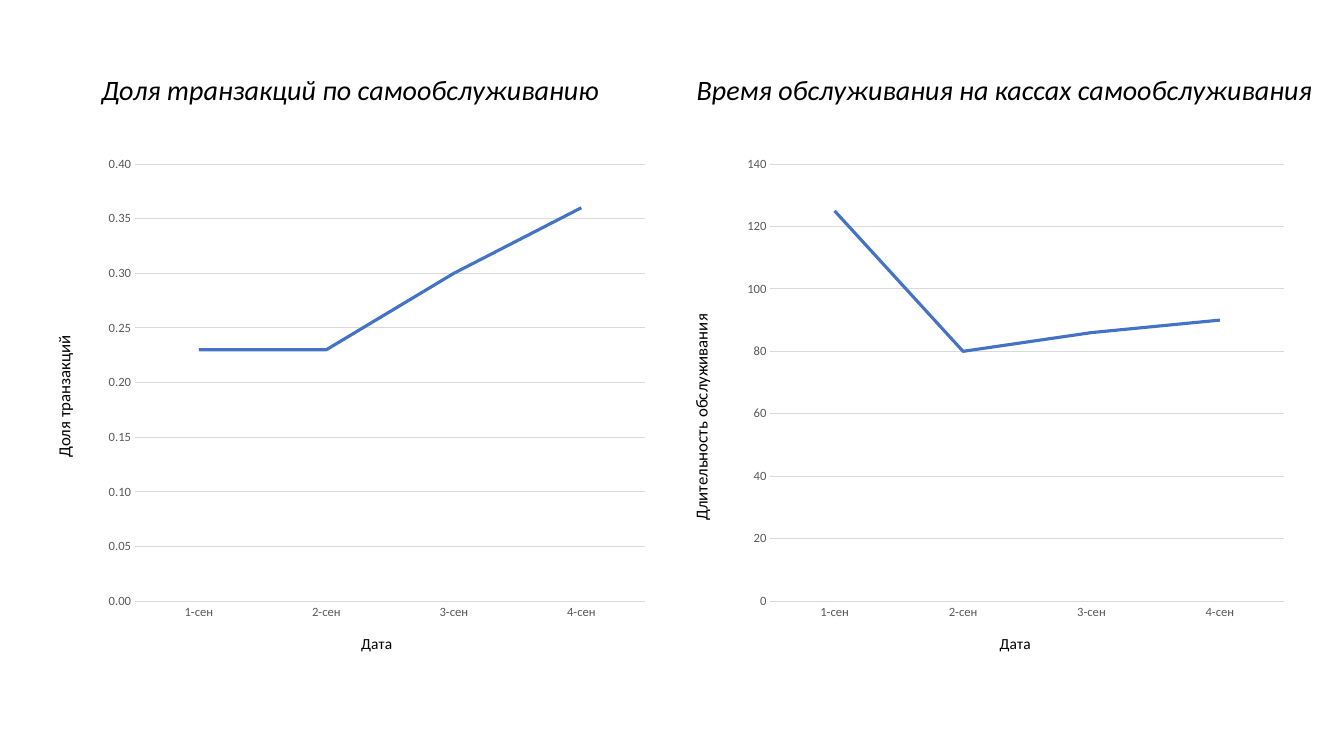
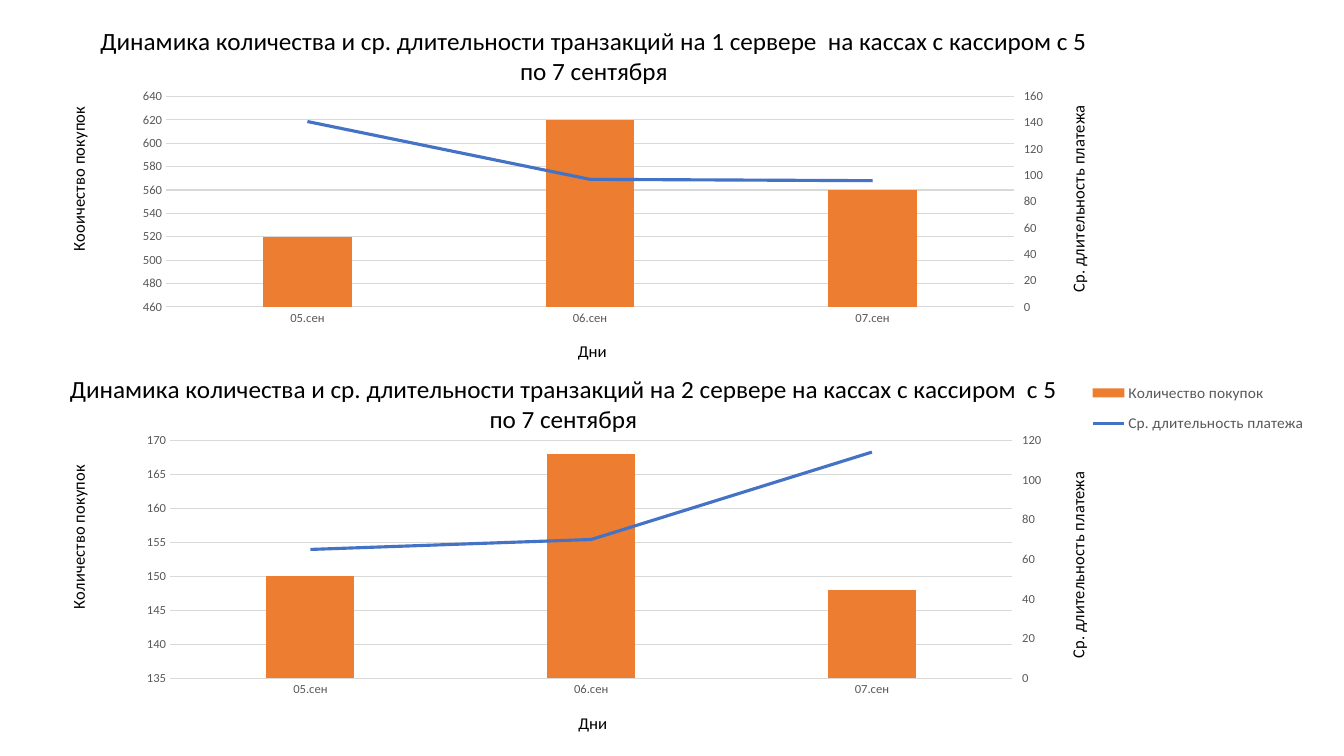
import copy

import pptx
import pptx.chart.axis
import pptx.chart.data
import pptx.dml.color
import pptx.enum.chart
import pptx.enum.text
import pptx.oxml
import pptx.oxml.ns
import pptx.util

enum = pptx.enum.chart
qn = pptx.oxml.ns.qn

# Shared look
FONT = "Calibri"
COLORS = {"text": "000000", "label": "595959", "grid": "D9D9D9",
          "line": "4472C4", "bar": "ED7D31"}
WIDTH, HEIGHT = 13.33, 7.5

# All places are percentages: of the slide for objects, of the chart for its parts
COL, ROW = WIDTH / 100, HEIGHT / 100


def place(left, top, width, height):
    return [pptx.util.Inches(n) for n in
            (left * COL, top * ROW, width * COL, height * ROW)]


def rgb(name):
    return pptx.dml.color.RGBColor.from_string(COLORS[name])


def set_values(obj, values):
    for name, value in values.items():
        setattr(obj, name, value)


def set_font(font, size, color="text", italic=False):
    set_values(font, {"name": FONT, "size": pptx.util.Pt(size),
                      "bold": False, "italic": italic})
    font.color.rgb = rgb(color)


def set_line(line, color, width):
    line.color.rgb = rgb(color)
    line.width = pptx.util.Pt(width)


# XML helpers
def chart_xml(tag, content):
    ns = pptx.oxml.ns.nsdecls("c")
    return pptx.oxml.parse_xml(f"<c:{tag} {ns}>{content}</c:{tag}>")


def set_layout(el, index, target="", **shares):
    """Fix the place of a chart part; shares are percentages of the chart."""
    for old in el.findall(qn("c:layout")):
        el.remove(old)
    parts = f'<c:layoutTarget val="{target}"/>' if target else ""
    parts += "".join(f'<c:{k}Mode val="edge"/>' for k in shares if k in "xy")
    parts += "".join(f'<c:{k} val="{v / 100:.4f}"/>' for k, v in shares.items())
    el.insert(index, chart_xml("layout", f"<c:manualLayout>{parts}</c:manualLayout>"))


# Chart parts
def set_title(title, text, size, x, y, upright=False):
    tf = title.text_frame
    tf.text = text
    set_font(tf.paragraphs[0].runs[0].font, size)
    el = title._element
    if upright:
        body = next(el.iter(qn("a:bodyPr")))
        body.set("rot", "-5400000")
        body.set("vert", "horz")
    set_layout(el, 1, x=x, y=y)


def format_axis(axis, title, size, spot, upright=False):
    set_values(axis, {"major_tick_mark": enum.XL_TICK_MARK.NONE,
                      "minor_tick_mark": enum.XL_TICK_MARK.NONE})
    set_font(axis.tick_labels.font, 9, "label")
    set_title(axis.axis_title, title, size, *spot, upright=upright)


def format_category_axis(axis, title, size, spot):
    format_axis(axis, title, size, spot)
    axis.has_major_gridlines = False
    set_line(axis.format.line, "grid", 0.75)


def format_value_axis(axis, title, spot, scale, fmt="General", grid=True):
    format_axis(axis, title, 12, spot, upright=True)
    low, high, step = scale
    set_values(axis, {"minimum_scale": low, "maximum_scale": high,
                      "major_unit": step, "has_major_gridlines": grid})
    set_values(axis.tick_labels, {"number_format": fmt,
                                  "number_format_is_linked": False})
    axis.format.line.fill.background()
    if grid:
        set_line(axis.major_gridlines.format.line, "grid", 0.75)


def format_line_series(series):
    series.smooth = False
    series.marker.style = enum.XL_MARKER_STYLE.NONE
    set_line(series.format.line, "line", 2.25)


def add_chart(slide, kind, box, cats, series, plot):
    data = pptx.chart.data.CategoryChartData()
    data.categories = cats
    for name, values in series:
        data.add_series(name, values)
    chart = slide.shapes.add_chart(kind, *place(*box), data).chart
    set_values(chart, {"has_title": False, "has_legend": False})
    set_font(chart.font, 10)
    chart.plots[0].vary_by_categories = False
    set_layout(chart.element.chart.plotArea, 0, "inner", **dict(zip("xywh", plot)))
    return chart


def move_to_right_axis(chart):
    """Turn the second series into a line; return the left and right axes."""
    left_axis = chart.value_axis
    bars = chart.element.chart.plotArea.find(qn("c:barChart"))
    ser = bars.findall(qn("c:ser"))[1]
    for el in ser.findall(qn("c:invertIfNegative")):
        ser.remove(el)
    cat_el = copy.deepcopy(chart.category_axis._element)
    val_el = copy.deepcopy(left_axis._element)
    for el, own, other in ((cat_el, "501", "502"), (val_el, "502", "501")):
        el.find(qn("c:axId")).set("val", own)
        el.find(qn("c:crossAx")).set("val", other)
    val_el.find(qn("c:axPos")).set("val", "r")
    left_axis._element.addnext(val_el)
    val_el.addnext(cat_el)
    lines = chart_xml("lineChart", '<c:grouping val="standard"/><c:varyColors val="0"/>'
                      '<c:marker val="1"/><c:axId val="501"/><c:axId val="502"/>')
    lines.insert(2, ser)
    bars.addnext(lines)
    hidden = pptx.chart.axis.CategoryAxis(cat_el)
    hidden.visible = False
    hidden.crosses = enum.XL_AXIS_CROSSES.MAXIMUM
    return left_axis, pptx.chart.axis.ValueAxis(val_el)


# Kinds of element
def add_heading(slide, text, box):
    tf = slide.shapes.add_textbox(*place(*box)).text_frame
    set_values(tf, {"word_wrap": False,
                    "auto_size": pptx.enum.text.MSO_AUTO_SIZE.SHAPE_TO_FIT_TEXT})
    r = tf.paragraphs[0].add_run()
    r.text = text
    set_font(r.font, 20, italic=True)


def add_line_chart(slide, left, title, values, plot, spot, scale, fmt="General"):
    cats = [f"{day}-сен" for day in range(1, 5)]
    chart = add_chart(slide, enum.XL_CHART_TYPE.LINE, (left, 19.33, 45.4, 69.9),
                      cats, [(title, values)], plot)
    format_category_axis(chart.category_axis, "Дата", 11, (50.8, 91.7))
    format_value_axis(chart.value_axis, title, spot, scale, fmt)
    format_line_series(chart.plots[0].series[0])


def add_combo_chart(slide, box, title, title_spot, left_title, counts, times,
                    plot, spots, left_scale, right_scale):
    right_title = "Ср. длительность платежа"
    cats = [f"0{day}.сен" for day in range(5, 8)]
    chart = add_chart(slide, enum.XL_CHART_TYPE.COLUMN_CLUSTERED, box, cats,
                      [("Количество покупок", counts), (right_title, times)], plot)
    left_axis, right_axis = move_to_right_axis(chart)
    cat_spot, left_spot, right_spot = spots
    format_category_axis(chart.category_axis, "Дни", 12, cat_spot)
    format_value_axis(left_axis, left_title, left_spot, left_scale)
    format_value_axis(right_axis, right_title, right_spot, right_scale, grid=False)
    set_values(right_axis, {"major_tick_mark": enum.XL_TICK_MARK.OUTSIDE,
                            "tick_label_position": enum.XL_TICK_LABEL_POSITION.HIGH})
    set_title(chart.chart_title, title, 18, *title_spot)
    bars, lines = chart.plots
    bars.gap_width = 219
    fill = bars.series[0].format.fill
    fill.solid()
    fill.fore_color.rgb = rgb("bar")
    format_line_series(lines.series[0])
    return chart


def add_legend(chart, **shares):
    chart.has_legend = True
    set_values(chart.legend, {"position": enum.XL_LEGEND_POSITION.RIGHT,
                              "include_in_layout": False})
    set_font(chart.legend.font, 11, "label")
    set_layout(chart.legend._element, 1, **shares)


# Slides
def self_service_slide(slide):
    left, right = 3.6, 51.1
    add_line_chart(slide, left, "Доля транзакций", (0.23, 0.23, 0.3, 0.36),
                   (14.2, 3.4, 83.6, 82.7), (0.2, 35.2), (0, 0.4, 0.05), "0.00")
    add_line_chart(slide, right, "Длительность обслуживания", (125, 80, 86, 90),
                   (13.7, 3.4, 84.2, 82.7), (0, 31.2), (0, 140, 20))
    add_heading(slide, "Доля транзакций по самообслуживанию", (6.8, 8.93, 38.8, 5.9))
    add_heading(slide, "Время обслуживания на кассах самообслуживания",
                (right, 8.93, 48.2, 5.9))


def cashier_slide(slide):
    chart = add_combo_chart(
        slide, (2.48, 48.4, 95.1, 49.3),
        "Динамика количества и ср. длительности транзакций на 2 сервере "
        "на кассах с кассиром  с 5 по 7 сентября", (2.5, 0.4),
        "Количество покупок", (150, 168, 148), (65, 70, 114),
        (10.7, 20.4, 65.9, 65.4), ((42.4, 94.2), (2.4, 27.2), (80.6, 29.3)),
        (135, 170, 5), (0, 120, 20))
    add_legend(chart, x=82.4, y=1.6, w=17.5, h=20)
    add_combo_chart(
        slide, (2.48, 2.27, 95, 46.3),
        "Динамика количества и ср. длительности транзакций на 1 сервере  "
        "на кассах с кассиром с 5 по 7 сентября", (4.9, 0.5),
        "Кооичество покупок", (520, 620, 560), (141, 97, 96),
        (10.4, 23.1, 66.4, 61.1), ((42.4, 93.1), (2.4, 25.8), (80.7, 25.6)),
        (460, 640, 20), (0, 160, 20))


def main():
    prs = pptx.Presentation()
    set_values(prs, {"slide_width": pptx.util.Inches(WIDTH),
                     "slide_height": pptx.util.Inches(HEIGHT)})
    blank = prs.slide_layouts[6]
    for build in (self_service_slide, cashier_slide):
        build(prs.slides.add_slide(blank))
    prs.save("out.pptx")


if __name__ == "__main__":
    main()
